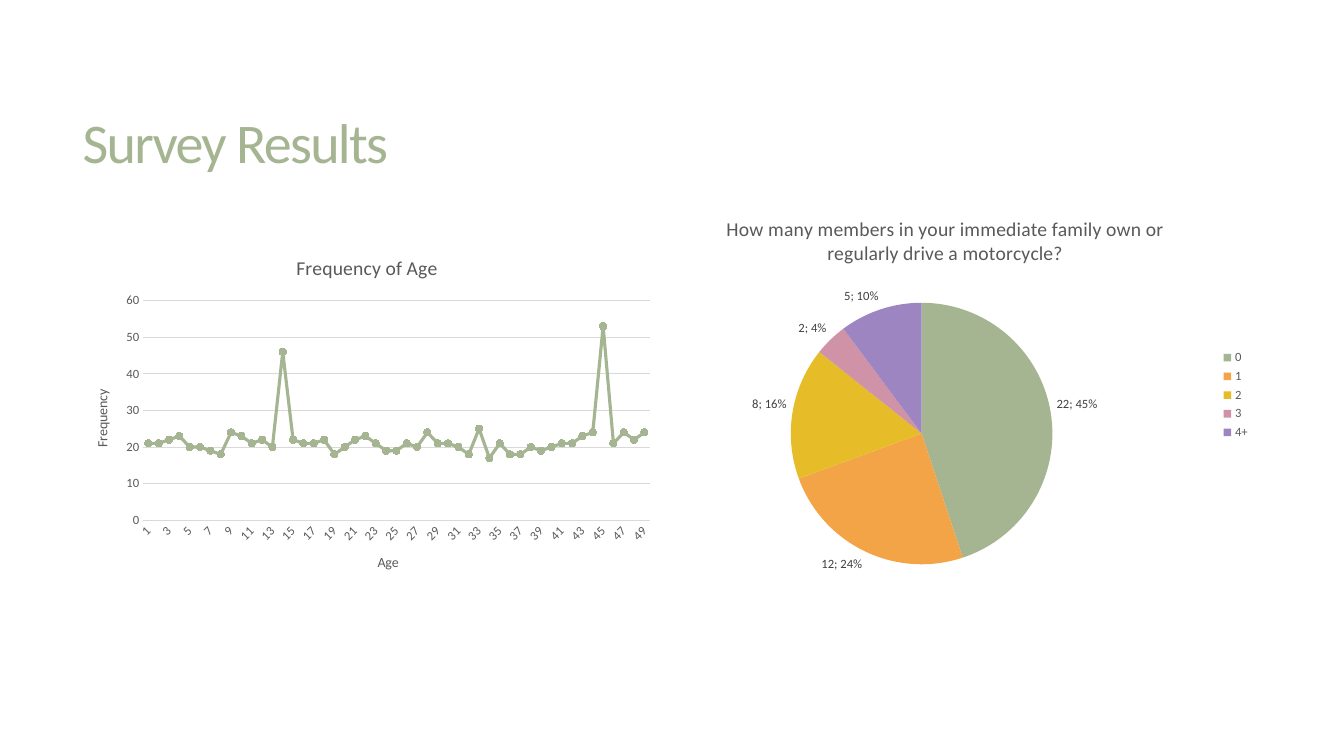
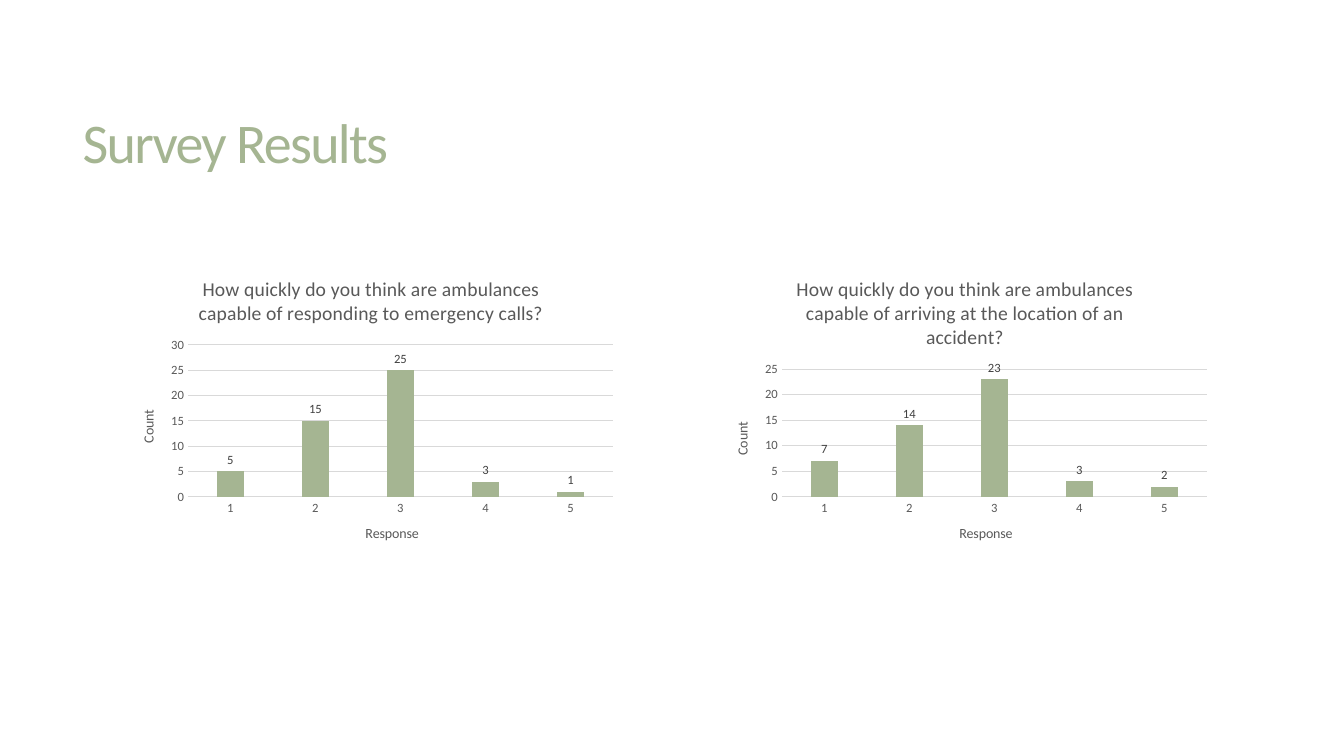
from pptx import Presentation
from pptx.chart.data import CategoryChartData
from pptx.dml.color import RGBColor
from pptx.enum.chart import (
    XL_CHART_TYPE as ChartType,
    XL_LABEL_POSITION as LabelPosition,
    XL_LEGEND_POSITION as LegendPosition,
    XL_MARKER_STYLE as MarkerStyle,
    XL_TICK_MARK as TickMark,
)
from pptx.enum.text import MSO_ANCHOR as Anchor
from pptx.oxml.ns import qn
from pptx.oxml.xmlchemy import OxmlElement
from pptx.util import Inches, Pt

FONT = "Calibri"
COLORS = {
    "sage": "A5B592",
    "orange": "F3A447",
    "yellow": "E7BC29",
    "pink": "D092A7",
    "purple": "9C85C0",
    "text": "595959",
    "label": "404040",
    "grid": "D9D9D9",
}
PIE_COLORS = ["sage", "orange", "yellow", "pink", "purple"]

AGES = [
    21, 21, 22, 23, 20, 20, 19, 18, 24, 23, 21, 22, 20, 46, 22, 21, 21,
    22, 18, 20, 22, 23, 21, 19, 19, 21, 20, 24, 21, 21, 20, 18, 25, 17,
    21, 18, 18, 20, 19, 20, 21, 21, 23, 24, 53, 21, 24, 22, 24,
]
RATINGS = ["1", "2", "3", "4", "5"]
SLIDES = [
    [
        dict(kind=ChartType.LINE_MARKERS, at=(0.72, 2.36, 5.84, 3.51),
             title="Frequency of Age", axes=("Age", "Frequency"),
             categories=[str(n) for n in range(1, len(AGES) + 1)], values=AGES),
        dict(kind=ChartType.PIE, at=(6.25, 1.97, 6.25, 3.9),
             title="How many members in your immediate family own or regularly drive a motorcycle?",
             categories=["0", "1", "2", "3", "4+"], values=[22, 12, 8, 2, 5]),
    ],
    [
        dict(kind=ChartType.COLUMN_CLUSTERED, at=(1.18, 2.58, 5, 3),
             title="How quickly do you think are ambulances capable of responding to emergency calls?",
             axes=("Response", "Count"), categories=RATINGS, values=[5, 15, 25, 3, 1]),
        dict(kind=ChartType.COLUMN_CLUSTERED, at=(7.07, 2.58, 5, 3),
             title="How quickly do you think are ambulances capable of arriving at the location of an accident?",
             axes=("Response", "Count"), categories=RATINGS, values=[7, 14, 23, 3, 2]),
    ],
]


def style_font(font, size, color="text"):
    font.name = FONT
    font.size = Pt(size)
    font.bold = False
    font.color.rgb = RGBColor.from_string(COLORS[color])


def write_text(frame, text, size, color="text", line_spacing=None, tracking=None):
    """Fill a text frame with one formatted run; tracking is in points."""
    para = frame.paragraphs[0]
    para.line_spacing = line_spacing
    span = para.add_run()
    span.text = text
    style_font(span.font, size, color)
    if tracking is not None:
        span.font._element.set("spc", str(round(tracking * 100)))


deck = Presentation()
deck.slide_width, deck.slide_height = Inches(13.33), Inches(7.5)
rgb = {name: RGBColor.from_string(value) for name, value in COLORS.items()}

for charts in SLIDES:
    page = deck.slides.add_slide(deck.slide_layouts[6])
    box = page.shapes.add_textbox(Inches(0.72), Inches(0.55), Inches(11.78), Inches(1.81))
    box.text_frame.word_wrap = True
    box.text_frame.vertical_anchor = Anchor.MIDDLE
    write_text(box.text_frame, "Survey Results", size=40, color="sage",
               line_spacing=0.85, tracking=-1.2)

    for item in charts:
        kind = item["kind"]
        data = CategoryChartData()
        data.categories = item["categories"]
        data.add_series("Series 1", item["values"])
        place = [Inches(length) for length in item["at"]]
        chart = page.shapes.add_chart(kind, *place, data).chart
        style_font(chart.font, 10)
        write_text(chart.chart_title.text_frame, item["title"], size=14)
        chart.chart_title.include_in_layout = False
        chart.has_legend = kind == ChartType.PIE
        plot = chart.plots[0]
        plot.vary_by_categories = kind == ChartType.PIE
        series = plot.series[0]

        if "axes" in item:
            axes = (chart.category_axis, chart.value_axis)
            for axis, name, turn in zip(axes, item["axes"], ("0", "-5400000")):
                write_text(axis.axis_title.text_frame, name, size=10)
                title_body = axis.axis_title.text_frame._txBody.bodyPr
                title_body.set("rot", turn)
                title_body.set("vert", "horz")
                axis.major_tick_mark = axis.minor_tick_mark = TickMark.NONE
                style_font(axis.tick_labels.font, 9)
                # This value lets the tick labels turn when space is short
                axis._element.txPr.bodyPr.set("rot", "-60000000")
            category_axis, value_axis = axes
            category_axis.format.line.color.rgb = rgb["grid"]
            category_axis.format.line.width = Pt(0.75)
            value_axis.format.line.fill.background()
            value_axis.has_major_gridlines = True
            value_axis.major_gridlines.format.line.color.rgb = rgb["grid"]
            value_axis.major_gridlines.format.line.width = Pt(0.75)

        if kind == ChartType.LINE_MARKERS:
            series.smooth = False
            series.format.line.color.rgb = rgb["sage"]
            series.format.line.width = Pt(2.25)
            series.marker.style = MarkerStyle.CIRCLE
            series.marker.size = 5
            series.marker.format.fill.solid()
            series.marker.format.fill.fore_color.rgb = rgb["sage"]
            series.marker.format.line.color.rgb = rgb["sage"]
            continue

        plot.has_data_labels = True
        labels = plot.data_labels
        style_font(labels.font, 9, "label")
        labels.show_value = True
        labels.position = LabelPosition.OUTSIDE_END

        if kind == ChartType.PIE:
            labels.show_percentage = True
            separator = OxmlElement("c:separator")
            separator.text = "; "
            labels._element.find(qn("c:showBubbleSize")).addnext(separator)
            chart.legend.position = LegendPosition.RIGHT
            chart.legend.include_in_layout = False
            style_font(chart.legend.font, 9)
            for index, color in enumerate(PIE_COLORS):
                fill = series.points[index].format.fill
                fill.solid()
                fill.fore_color.rgb = rgb[color]
        else:
            plot.gap_width = 219
            plot.overlap = -27
            series.format.fill.solid()
            series.format.fill.fore_color.rgb = rgb["sage"]

deck.save("out.pptx")
